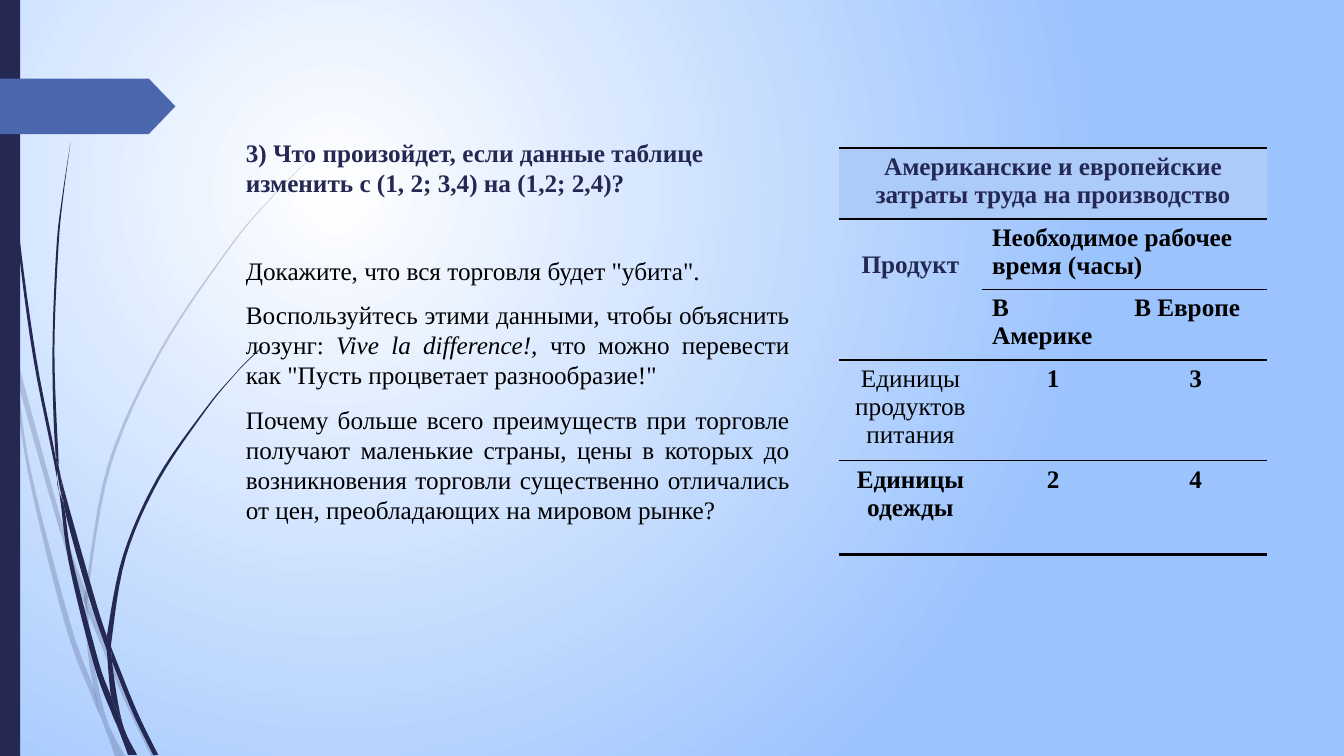
from lxml.etree import SubElement
from pptx import Presentation
from pptx.dml.color import RGBColor as Rgb
from pptx.enum.shapes import MSO_SHAPE as Preset
from pptx.enum.text import PP_ALIGN as Align
from pptx.oxml.ns import qn
from pptx.util import Pt

PX = 9144
STEPS = 6
FONT = "Times New Roman"
COLORS = {"navy": "242852", "blue": "4A66AC", "header": "ACCBF9",
          "sky": "9BC3FE", "white": "FFFFFF", "black": "000000"}

PALE_BLADES = [
    ([(0, 299), (10, 344), (11, 350), (28, 470), (65, 621), (92, 693), (101, 714), (114, 750)],
     [(0, 282), (9, 322), (11, 350), (17, 376), (31, 469), (70, 619), (93, 683), (101, 714),
      (119, 750)],
     [(2, 2), (6, 7)]),
    ([(14, 345), (17, 376), (58, 522), (84, 599), (88, 610), (123, 694), (150, 750)],
     [(14, 345), (62, 520), (85, 586), (88, 596), (92, 607), (127, 692), (155, 750)],
     [(3, 2), (4, 3)]),
    ([(312, 153), (289, 175), (268, 197), (228, 244), (158, 348), (107, 461), (85, 584),
      (84, 599), (87, 646), (93, 683), (101, 714), (119, 750)],
     [(312, 153), (290, 175), (268, 198), (229, 245), (160, 349), (110, 462), (88, 584),
      (88, 610), (91, 646), (105, 711), (124, 750)],
     [(6, 6), (9, 9)]),
]
DARK_BLADES = [
    ([(3, 0), (4, 48), (7, 110), (17, 233), (33, 355), (57, 477), (68, 557), (93, 659),
      (111, 708), (117, 722), (127, 749)],
     [(4, 0), (5, 48), (8, 109), (19, 232), (36, 355), (55, 453), (57, 481), (64, 505),
      (72, 556), (98, 657), (110, 691), (117, 722), (131, 749)],
     [(5, 6), (9, 11)]),
    ([(70, 141), (62, 193), (56, 245), (52, 349), (55, 449), (64, 505), (88, 592),
      (106, 645), (111, 656), (132, 708), (152, 749)],
     [(70, 141), (63, 193), (58, 245), (54, 349), (58, 453), (60, 472), (93, 590),
      (106, 631), (110, 641), (113, 649), (136, 706), (157, 749)],
     [(4, 5), (5, 5), (7, 7), (8, 8)]),
    ([(260, 344), (245, 358), (231, 373), (204, 405), (156, 474), (122, 551), (106, 631),
      (106, 645), (110, 691), (117, 722), (130, 749)],
     [(261, 344), (245, 359), (231, 374), (205, 406), (158, 476), (125, 552), (111, 633),
      (111, 656), (121, 716), (136, 749)],
     [(6, 6), (8, 8)]),
]

QUESTION = "3) Что произойдет, если данные таблице изменить с (1, 2; 3,4) на (1,2; 2,4)?"
TASKS = [
    ["Докажите, что вся торговля будет \"убита\"."],
    ["Воспользуйтесь этими данными, чтобы объяснить лозунг: ", "Vive la difference!,",
     " что можно перевести как \"Пусть процветает разнообразие!\""],
    ["Почему больше всего преимуществ при торговле получают маленькие страны, цены в которых "
     "до возникновения торговли существенно отличались от цен, преобладающих на мировом рынке?"],
]

COST_ROWS = [
    ["Американские и европейские затраты труда на производство", None, None],
    ["Продукт", "Необходимое рабочее время (часы)", None],
    [None, "В Америке", "В Европе"],
    ["Единицы продуктов питания", "1", "3"],
    ["Единицы одежды", "2", "4"],
]
COLUMN_WIDTHS = [142, 141, 142]
ROW_HEIGHTS = [65, 65, 65, 93, 93]
RULE_WIDTHS = [2, 2, 1, 1, 1, 2]


def rgb(name):
    return Rgb.from_string(COLORS[name])


def add_text(paragraph, text, size=18, bold=False, italic=False, color="black",
             align=Align.LEFT, before=0):
    paragraph.alignment = align
    paragraph.space_before = Pt(before)
    run = paragraph.add_run()
    run.text = text
    run.font.name, run.font.size = FONT, Pt(size)
    run.font.bold, run.font.italic = bold, italic
    run.font.color.rgb = rgb(color)


def paint(shape, color, opacity=100):
    shape.shadow.inherit = False
    shape.fill.solid()
    shape.fill.fore_color.rgb = rgb(color)
    shape.line.fill.background()
    if opacity < 100:
        tint = shape._element.spPr.find(".//" + qn("a:srgbClr"))
        SubElement(tint, qn("a:alpha"), val=str(opacity * 1000))


def paint_background(slide):
    fill = slide.background.fill
    fill.gradient()
    for stop, color, position in zip(fill.gradient_stops, ("white", "sky"), (0, 1)):
        stop.color.rgb = rgb(color)
        stop.position = position
    gradient = slide._element.find(".//" + qn("a:gradFill"))
    gradient.remove(gradient.find(qn("a:lin")))
    circle = SubElement(gradient, qn("a:path"), path="circle")
    SubElement(circle, qn("a:fillToRect"), l="50000", t="50000", r="100000", b="100000")


def smooth_edge(points):
    padded = [points[0], *points, points[-1]]
    edge = []
    for corners in zip(padded, padded[1:], padded[2:], padded[3:]):
        for step in range(STEPS):
            t = step / STEPS
            edge.append(tuple(
                PX * (2 * q + (r - p) * t + (2 * p - 5 * q + 4 * r - s) * t ** 2
                      + (3 * q - p - 3 * r + s) * t ** 3) / 2
                for p, q, r, s in zip(*corners)))
    x, y = points[-1]
    return edge + [(x * PX, y * PX)]


def add_blade(slide, left_points, right_points, cuts, opacity):
    left_edge, right_edge = smooth_edge(left_points), smooth_edge(right_points)
    joints = [(0, 0), *cuts, (len(left_points) - 1, len(right_points) - 1)]
    for (left_top, right_top), (left_end, right_end) in zip(joints, joints[1:]):
        outline = left_edge[left_top * STEPS:left_end * STEPS + 1]
        outline += right_edge[right_top * STEPS:right_end * STEPS + 1][::-1]
        builder = slide.shapes.build_freeform(*outline[0], scale=1.0)
        builder.add_line_segments(outline[1:], close=True)
        paint(builder.convert_to_shape(), "navy", opacity)


def add_panel(slide, preset, left, top, width, height, color):
    panel = slide.shapes.add_shape(preset, left * PX, top * PX, width * PX, height * PX)
    paint(panel, color)
    return panel


def add_questions(slide):
    frame = slide.shapes.add_textbox(234 * PX, 131 * PX, 559 * PX, 638 * PX).text_frame
    frame.word_wrap = True
    add_text(frame.paragraphs[0], QUESTION, bold=True, color="navy", before=10)
    for number, pieces in enumerate(TASKS):
        task = frame.add_paragraph()
        for index, piece in enumerate(pieces):
            add_text(task, piece, italic=index == 1, align=Align.JUSTIFY,
                     before=10 if number else 41)


def set_rule(cell, side, width):
    rule = SubElement(cell._tc.get_or_add_tcPr(), qn("a:" + side), w=str(Pt(width)))
    fill = SubElement(rule, qn("a:solidFill" if width else "a:noFill"))
    if width:
        SubElement(fill, qn("a:srgbClr"), val=COLORS["black"])


def add_cost_table(slide):
    table = slide.shapes.add_table(len(ROW_HEIGHTS), len(COLUMN_WIDTHS), 832 * PX, 147 * PX,
                                   sum(COLUMN_WIDTHS) * PX, sum(ROW_HEIGHTS) * PX).table
    table.first_row = table.horz_banding = False
    for column, width in zip(table.columns, COLUMN_WIDTHS):
        column.width = width * PX
    for row, height in zip(table.rows, ROW_HEIGHTS):
        row.height = height * PX
    for r, row in enumerate(COST_ROWS):
        for c, text in enumerate(row):
            cell = table.cell(r, c)
            top_rule = 0 if (r, c) == (2, 0) else RULE_WIDTHS[r]
            for side, width in zip(("lnL", "lnR", "lnT", "lnB"),
                                   (0, 0, top_rule, RULE_WIDTHS[r + 1])):
                set_rule(cell, side, width)
            if r == 0:
                cell.fill.solid()
                cell.fill.fore_color.rgb = rgb("header")
            else:
                cell.fill.background()
            if text:
                add_text(cell.text_frame.paragraphs[0], text, bold=(r, c) != (3, 0),
                         color="navy" if r == 0 or (r, c) == (1, 0) else "black",
                         align=Align.LEFT if r in (1, 2) and c else Align.CENTER)
    for first, last in (((0, 0), (0, 2)), ((1, 0), (2, 0)), ((1, 1), (1, 2))):
        table.cell(*first).merge(table.cell(*last))
    table.cell(1, 0).margin_top = 32 * PX


def main():
    deck = Presentation()
    deck.slide_width, deck.slide_height = 1333 * PX, 750 * PX
    slide = deck.slides.add_slide(deck.slide_layouts[6])
    paint_background(slide)
    for blades, opacity in ((PALE_BLADES, 20), (DARK_BLADES, 100)):
        for blade in blades:
            add_blade(slide, *blade, opacity)
    add_panel(slide, Preset.RECTANGLE, 0, 0, 20, 750, "navy")
    add_panel(slide, Preset.PENTAGON, 0, 78, 174, 55, "blue").adjustments[0] = 0.48
    add_questions(slide)
    add_cost_table(slide)
    deck.save("out.pptx")


if __name__ == "__main__":
    main()
